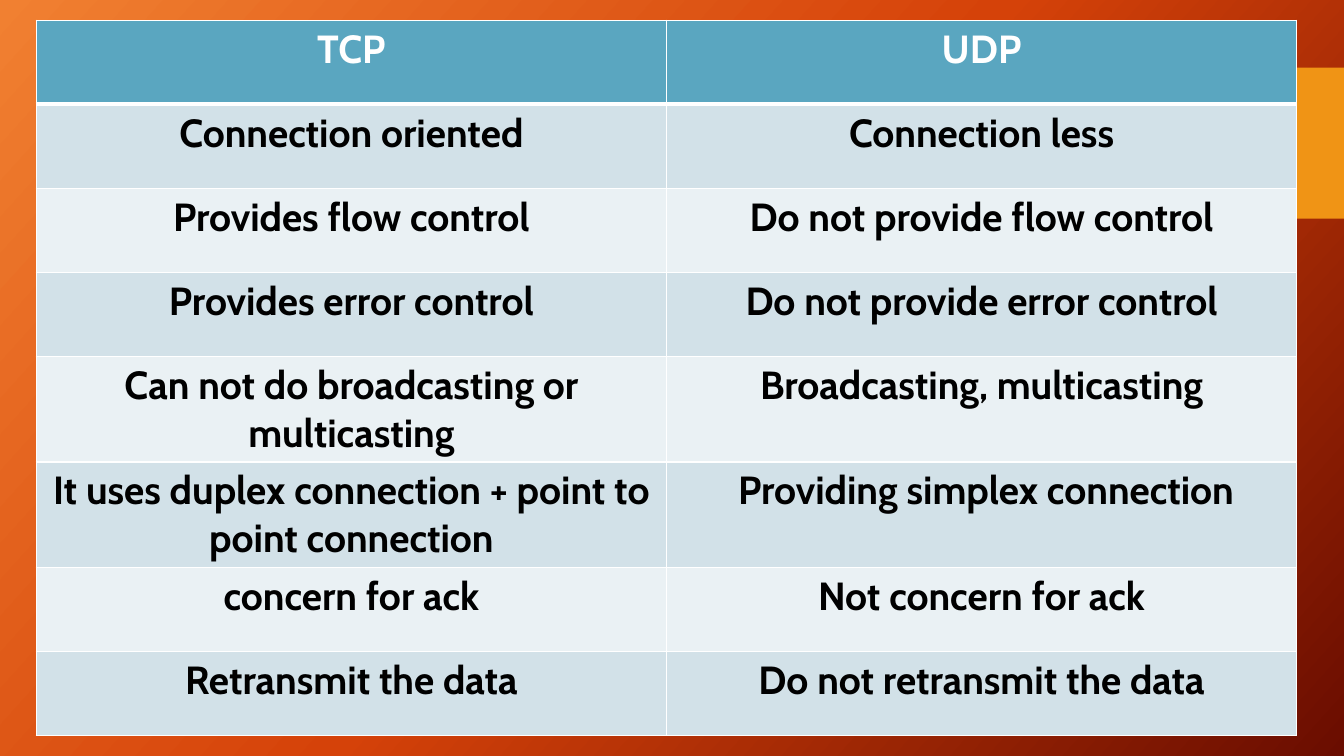
from dataclasses import dataclass

from lxml.etree import SubElement
from pptx import Presentation
from pptx.dml.color import RGBColor
from pptx.enum.shapes import MSO_SHAPE as Shape
from pptx.enum.text import PP_ALIGN as Align
from pptx.oxml import parse_xml
from pptx.oxml.ns import nsdecls, qn
from pptx.slide import Slide
from pptx.table import _Cell as Cell
from pptx.util import Inches, Pt

COLOURS = {
    "glow": "F18031", "flame": "D54209", "ember": "6A0D00", "tab": "F09415",
    "header": "5AA6C0", "odd": "D2E1E8", "even": "EAF1F4",
    "white": "FFFFFF", "black": "000000",
}
WIDTH, HEIGHT = Inches(13.33), Inches(7.5)
TABLE_LEFT, TABLE_TOP = Inches(0.36), Inches(0.2)
COLUMN, ROW = Inches(6.25), Inches(0.835)
THIN, THICK = Pt(1), Pt(3)


@dataclass(frozen=True)
class Contrast:
    tcp: str
    udp: str


CONTRASTS = [
    Contrast("TCP", "UDP"),
    Contrast("Connection oriented", "Connection less"),
    Contrast("Provides flow control", "Do not provide flow control"),
    Contrast("Provides error control", "Do not provide error control"),
    Contrast("Can not do broadcasting or multicasting", "Broadcasting, multicasting"),
    Contrast("It uses duplex connection + point to point connection",
             " Providing simplex connection"),
    Contrast("concern for ack", "Not concern for ack"),
    Contrast("Retransmit the data", "Do not retransmit the data"),
]


def colour(name: str) -> RGBColor:
    return RGBColor.from_string(COLOURS[name])


def paint_background(page: Slide) -> None:
    fill = page.background.fill
    fill.gradient()
    fill.gradient_angle = 360 - 42
    stops = page.element.find(f".//{qn('a:gsLst')}")
    for stop in list(stops):
        stops.remove(stop)
    for share, name in ((0, "glow"), (50, "flame"), (100, "ember")):
        stop = SubElement(stops, qn("a:gs"), pos=str(share * 1000))
        SubElement(stop, qn("a:srgbClr"), val=COLOURS[name])


def draw_tab(page: Slide) -> None:
    width, height = Inches(1.75), Inches(1.5)
    tab = page.shapes.add_shape(Shape.RECTANGLE, WIDTH - width, Inches(0.67), width, height)
    tab.shadow.inherit = False
    tab.fill.solid()
    tab.fill.fore_color.rgb = colour("tab")
    tab.line.fill.background()


def draw_borders(cell: Cell, top: int, bottom: int) -> None:
    sides = {"L": THIN, "R": THIN, "T": top, "B": bottom}
    properties = cell._tc.get_or_add_tcPr()
    for position, (side, width) in enumerate(sides.items()):
        properties.insert(position, parse_xml(
            f'<a:ln{side} {nsdecls("a")} w="{int(width)}"><a:solidFill>'
            f'<a:srgbClr val="{COLOURS["white"]}"/></a:solidFill></a:ln{side}>'))


def fill_cell(cell: Cell, text: str, row: int) -> None:
    is_header = row == 0
    cell.fill.solid()
    cell.fill.fore_color.rgb = colour("header" if is_header else "odd" if row % 2 else "even")
    draw_borders(cell, THICK if row == 1 else THIN, THICK if is_header else THIN)
    para = cell.text_frame.paragraphs[0]
    para.text = text
    para.alignment = Align.CENTER
    para.font.name, para.font.size, para.font.bold = "Cabin", Pt(28), True
    para.font.color.rgb = colour("white" if is_header else "black")


def draw_table(page: Slide, contrasts: list[Contrast]) -> None:
    table = page.shapes.add_table(len(contrasts), 2, TABLE_LEFT, TABLE_TOP,
                                  2 * COLUMN, len(contrasts) * ROW).table
    for row, contrast in enumerate(contrasts):
        for column, text in enumerate((contrast.tcp, contrast.udp)):
            fill_cell(table.cell(row, column), text, row)


def main() -> None:
    """Build the slide that sets TCP against UDP."""
    deck = Presentation()
    deck.slide_width, deck.slide_height = WIDTH, HEIGHT
    page = deck.slides.add_slide(deck.slide_layouts[6])
    paint_background(page)
    draw_tab(page)
    draw_table(page, CONTRASTS)
    deck.save("out.pptx")


if __name__ == "__main__":
    main()
